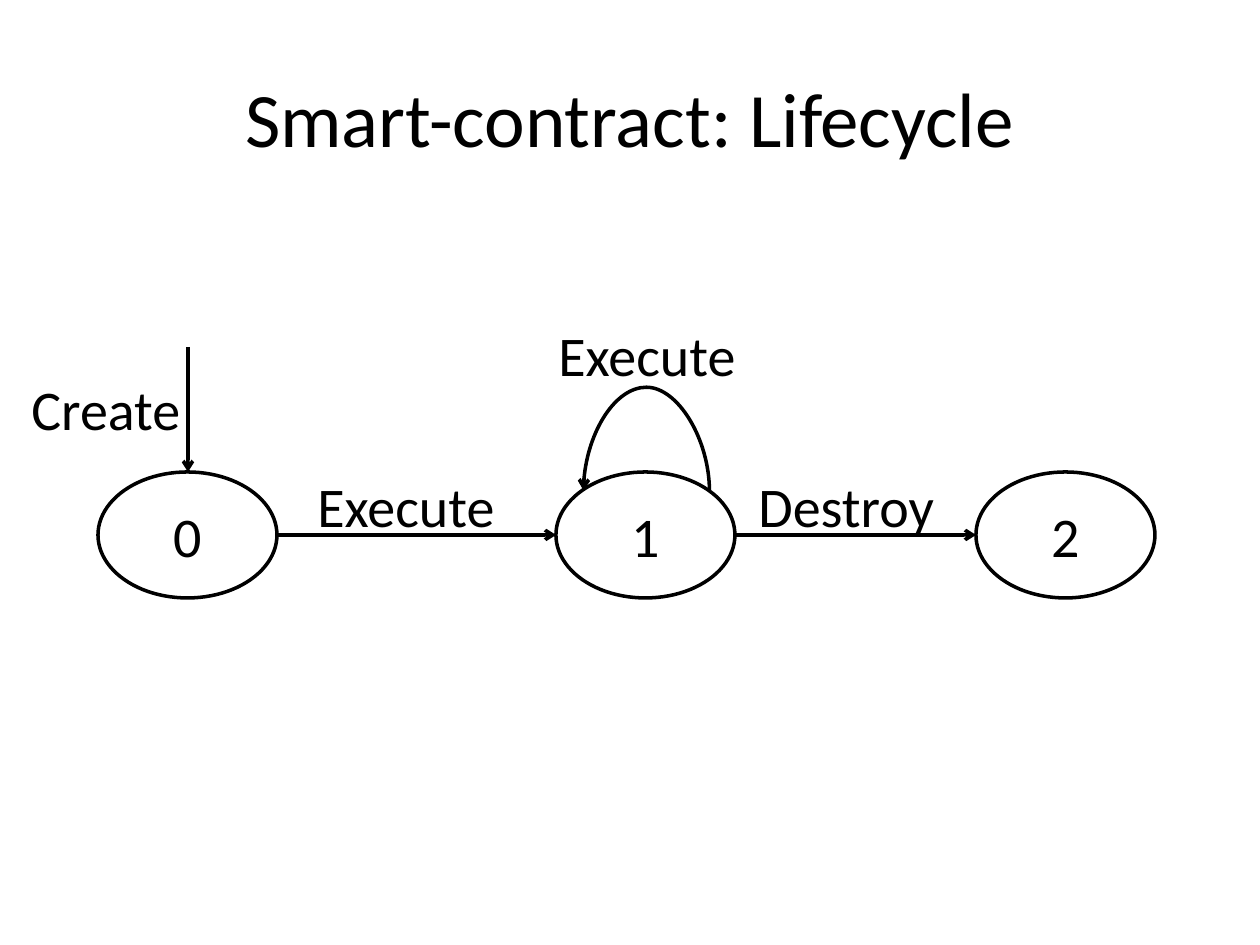
from lxml.etree import SubElement
from pptx import Presentation
from pptx.dml.color import RGBColor
from pptx.enum.shapes import MSO_CONNECTOR, MSO_SHAPE
from pptx.enum.text import MSO_ANCHOR, MSO_AUTO_SIZE, PP_ALIGN
from pptx.oxml.ns import qn
from pptx.util import Pt

PX = 914400 // 126
BLACK = "000000"
TITLE = "Smart-contract: Lifecycle"

# States: label and left edge; all share one row and size
STATES = [("0", 98), ("1", 556), ("2", 976)]
STATE_TOP, STATE_W, STATE_H = 472, 179, 126
MID_Y = STATE_TOP + STATE_H // 2

# Transition labels: text, left, top, width
LABELS = [
    ("Create", 19, 368, 175),
    ("Execute", 305, 465, 204),
    ("Execute", 546, 314, 204),
    ("Destroy", 746, 465, 203),
]
LABEL_H = 81


def px(*values):
    return [v * PX for v in values]


def color(value):
    return RGBColor.from_string(value)


def write(tf, text, size=32, align=PP_ALIGN.CENTER, anchor=MSO_ANCHOR.MIDDLE, wrap=True):
    tf.word_wrap = wrap
    tf.vertical_anchor = anchor
    p = tf.paragraphs[0]
    p.alignment = align
    r = p.add_run()
    r.text = text
    r.font.name = "Calibri"
    r.font.size = Pt(size)
    r.font.color.rgb = color(BLACK)


def outline(line):
    line.color.rgb = color(BLACK)
    line.width = Pt(2)


def add_arrow(s, x1, y1, x2, y2, kind=MSO_CONNECTOR.STRAIGHT):
    c = s.shapes.add_connector(kind, *px(x1, y1, x2, y2))
    outline(c.line)
    SubElement(c.line._get_or_add_ln(), qn("a:tailEnd"), type="arrow")
    SubElement(c._element.spPr, qn("a:effectLst"))
    return c


prs = Presentation()
prs.slide_width, prs.slide_height = px(1260, 945)
s = prs.slides.add_slide(prs.slide_layouts[5])

# Title
title = s.shapes.title
title.left, title.top, title.width, title.height = px(63, 38, 1134, 157)
write(title.text_frame, TITLE, size=44)

# States
for label, left in STATES:
    sp = s.shapes.add_shape(MSO_SHAPE.OVAL, *px(left, STATE_TOP, STATE_W, STATE_H))
    sp.shadow.inherit = False
    sp.fill.background()
    outline(sp.line)
    write(sp.text_frame, label)

# Arrow into the first state, then from each state to the next
start_x = STATES[0][1] + STATE_W // 2 + 1
add_arrow(s, start_x, 347, start_x, STATE_TOP)
for (_, left), (_, next_left) in zip(STATES, STATES[1:]):
    add_arrow(s, left + STATE_W, MID_Y, next_left, MID_Y)

# Self-loop: a thin curve turned upwards, its bend 105 times its width
loop = add_arrow(s, 646, 554, 647, 428, MSO_CONNECTOR.CURVE)
loop._element.spPr.find(qn("a:xfrm")).set("rot", str(270 * 60000))
geom = loop._element.spPr.find(qn("a:prstGeom"))
geom.set("prst", "curvedConnector3")
guides = geom.find(qn("a:avLst"))
if guides is None:
    guides = SubElement(geom, qn("a:avLst"))
SubElement(guides, qn("a:gd"), name="adj1", fmla=f"val {105 * 100000}")

# Transition labels
for text, left, top, width in LABELS:
    tf = s.shapes.add_textbox(*px(left, top, width, LABEL_H)).text_frame
    tf.auto_size = MSO_AUTO_SIZE.SHAPE_TO_FIT_TEXT
    write(tf, text, align=PP_ALIGN.LEFT, anchor=MSO_ANCHOR.TOP, wrap=False)

prs.save("out.pptx")
